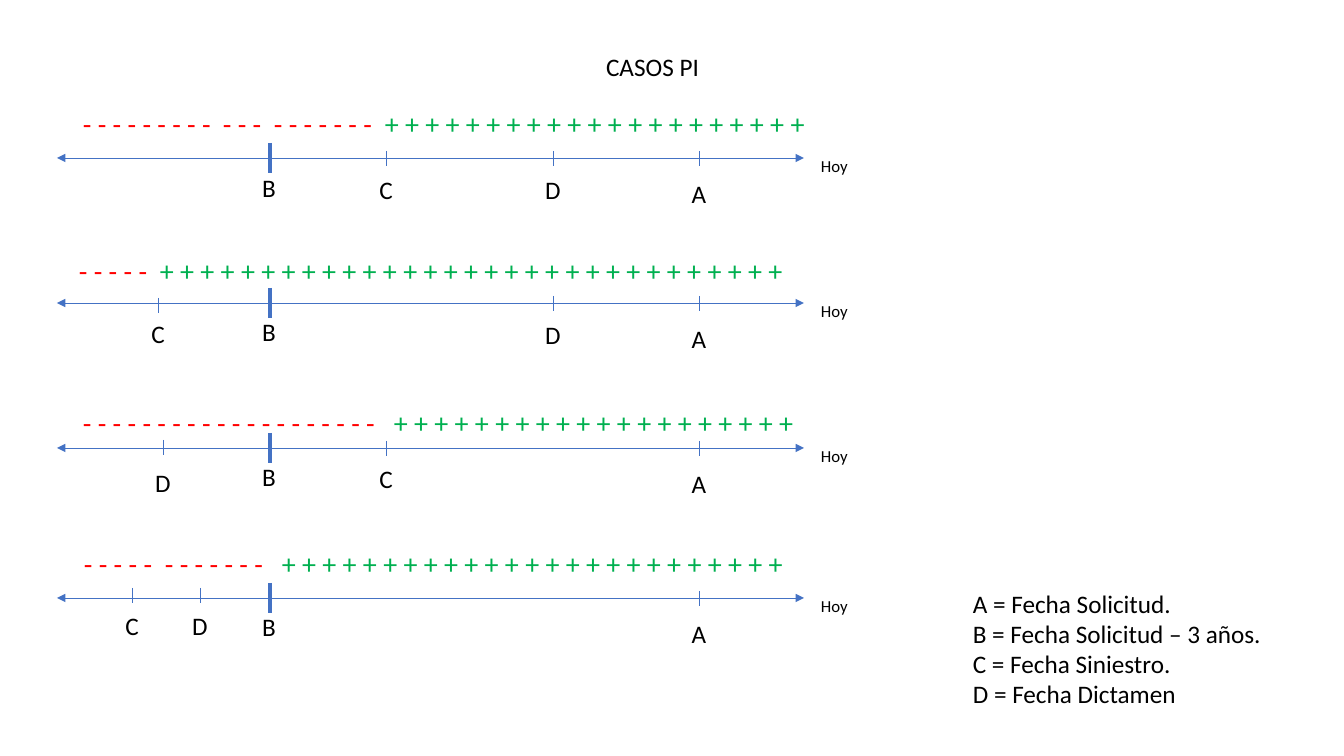
"""Build the slide of four PI case timelines."""
from dataclasses import dataclass

from lxml import etree
from pptx import Presentation
from pptx import util as u
from pptx.dml.color import RGBColor
from pptx.enum import shapes, text
from pptx.oxml.ns import qn

EMU_PER_PX = 914400 / 100.8
FONT = "Calibri"
COLORS = {"ink": "000000", "axis": "4472C4", "minus": "FF0000", "plus": "00B050"}
AXIS_LEFT, AXIS_RIGHT = 57, 804
LIMIT_X, LIMIT_HALF = 270, 15
TICK_LENGTH = 15
LEGEND = ["A = Fecha Solicitud.", "B = Fecha Solicitud – 3 años.",
          "C = Fecha Siniestro.", "D = Fecha Dictamen"]


@dataclass
class Milestone:
    """A dated tick with offsets from its axis."""
    name: str
    x: int
    label_dy: int
    tick_dy: int = -7


@dataclass
class Case:
    """One timeline with its signs and milestones."""
    axis_y: int
    signs_left: int
    signs_top: int
    minus_groups: list[int]
    tab_stops: list[int]
    plus_count: int
    limit_label_dy: int
    milestones: list[Milestone]


CASES = [
    Case(158, 73, 102, [9, 3, 7], [140, 191, 302], 21, 9,
         [Milestone("C", 386, 11), Milestone("D", 553, 11), Milestone("A", 699, 15)]),
    Case(303, 69, 249, [5], [81], 31, 8,
         [Milestone("C", 158, 10, -5), Milestone("D", 553, 11), Milestone("A", 699, 15)]),
    Case(448, 73, 401, [20], [311], 20, 8,
         [Milestone("D", 163, 14, -8), Milestone("C", 386, 10), Milestone("A", 699, 15)]),
    Case(598, 74, 542, [5, 7], [81, 198], 25, 8,
         [Milestone("C", 132, 7, -10), Milestone("D", 200, 7, -10), Milestone("A", 699, 15)]),
]


def px(length: float) -> u.Emu:
    """Turn pixels into EMU."""
    return u.Emu(round(length * EMU_PER_PX))


def rgb(name: str) -> RGBColor:
    """Look up a colour by name."""
    return RGBColor.from_string(COLORS[name])


def add_run(p, words: str, size: int, color: str = "ink") -> None:
    """Add one formatted run to a paragraph."""
    r = p.add_run()
    r.text = words
    r.font.name, r.font.size = FONT, u.Pt(size)
    r.font.color.rgb = rgb(color)


def add_box(s, left: int, top: int, width: int, height: int, wrap: bool = False):
    """Add an empty text box and return its frame."""
    tf = s.shapes.add_textbox(px(left), px(top), px(width), px(height)).text_frame
    tf.word_wrap = wrap
    tf.auto_size = text.MSO_AUTO_SIZE.SHAPE_TO_FIT_TEXT
    return tf


def add_line(s, start: tuple[int, int], end: tuple[int, int],
             width: float = 0.5, arrows: bool = False) -> None:
    """Draw a straight line, with arrowheads on request."""
    line = s.shapes.add_connector(shapes.MSO_CONNECTOR.STRAIGHT,
                                  *map(px, start), *map(px, end))
    line.line.color.rgb = rgb("axis")
    line.line.width = u.Pt(width)
    sp_pr = line._element.spPr
    if arrows:
        for tag in ("a:headEnd", "a:tailEnd"):
            etree.SubElement(sp_pr.find(qn("a:ln")), qn(tag), type="triangle")
    etree.SubElement(sp_pr, qn("a:effectLst"))


def add_label(s, name: str, x: int, top: int) -> None:
    """Centre a milestone letter below its tick."""
    p = add_box(s, x - 18, top, 36, 40).paragraphs[0]
    p.alignment = text.PP_ALIGN.CENTER
    add_run(p, name, 18)


def add_signs(s, case: Case) -> None:
    """Write the minus groups and the plus signs at their tab stops."""
    p = add_box(s, case.signs_left, case.signs_top, 814, 44, wrap=True).paragraphs[0]
    tabs = etree.SubElement(p._p.get_or_add_pPr(), qn("a:tabLst"))
    for stop in case.tab_stops:
        etree.SubElement(tabs, qn("a:tab"), pos=str(px(stop)), algn="l")
    for count in case.minus_groups:
        add_run(p, " ".join("-" * count) + "\t", 20, "minus")
    add_run(p, " ".join("+" * case.plus_count), 20, "plus")


def add_case(s, case: Case) -> None:
    """Draw one timeline."""
    y = case.axis_y
    add_line(s, (AXIS_LEFT, y), (AXIS_RIGHT, y), arrows=True)
    add_run(add_box(s, 811, y - 7, 47, 30).paragraphs[0], "Hoy", 12)
    for m in case.milestones:
        top = y + m.tick_dy
        add_line(s, (m.x, top), (m.x, top + TICK_LENGTH))
        add_label(s, m.name, m.x, y + m.label_dy)
    add_line(s, (LIMIT_X, y - LIMIT_HALF), (LIMIT_X, y + LIMIT_HALF), width=3)
    add_label(s, "B", LIMIT_X - 1, y + case.limit_label_dy)
    add_signs(s, case)


def add_title(s, words: str) -> None:
    """Place and format the title."""
    sp = s.shapes.title
    sp.left, sp.top, sp.width, sp.height = map(px, (596, 46, 114, 40))
    tf = sp.text_frame
    tf.word_wrap = False
    tf.auto_size = text.MSO_AUTO_SIZE.SHAPE_TO_FIT_TEXT
    tf.vertical_anchor = text.MSO_ANCHOR.TOP
    tf.paragraphs[0].alignment = text.PP_ALIGN.LEFT
    add_run(tf.paragraphs[0], words, 18)


def add_legend(s) -> None:
    """Explain the milestone letters."""
    tf = add_box(s, 963, 583, 324, 132, wrap=True)
    for i, words in enumerate(LEGEND):
        p = tf.add_paragraph() if i else tf.paragraphs[0]
        add_run(p, words, 18)


def main() -> None:
    """Build and save the presentation."""
    prs = Presentation()
    prs.slide_width, prs.slide_height = px(1344), px(756)
    s = prs.slides.add_slide(prs.slide_layouts[5])
    add_title(s, "CASOS PI")
    for case in CASES:
        add_case(s, case)
    add_legend(s)
    prs.save("out.pptx")


main()
